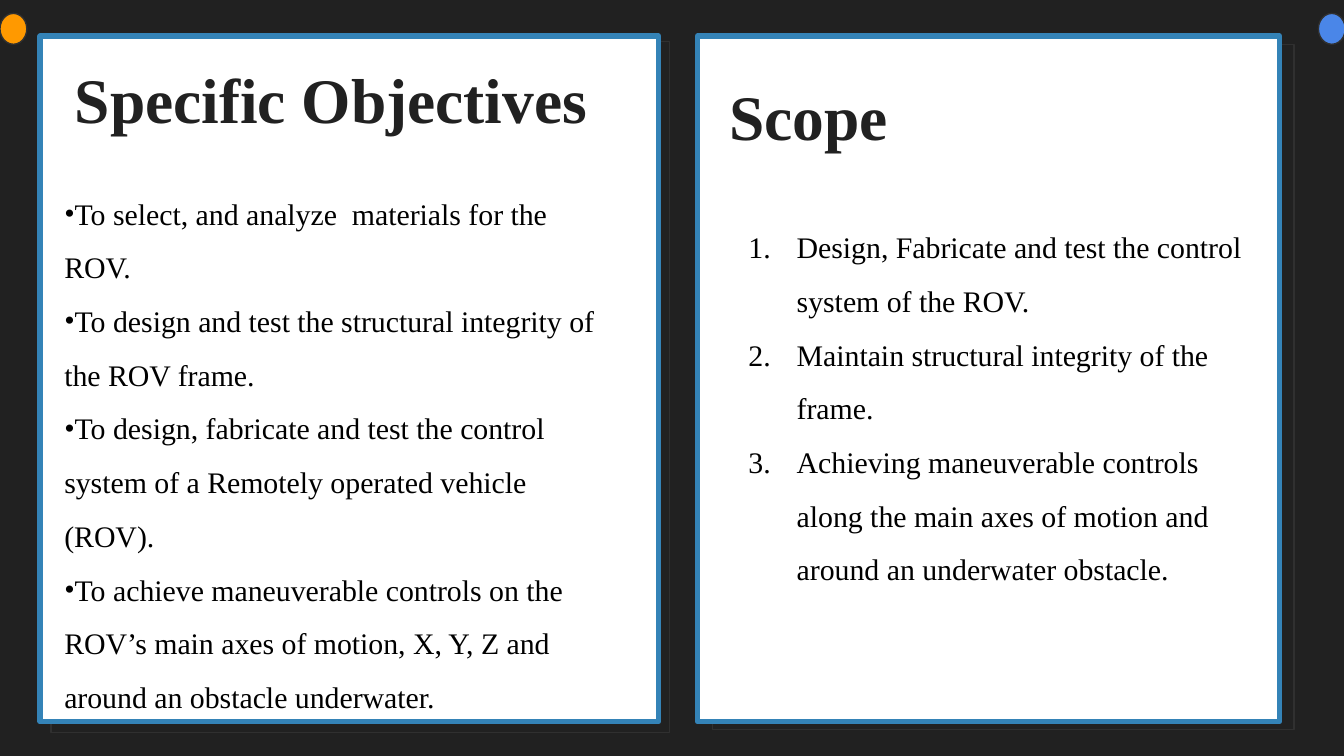
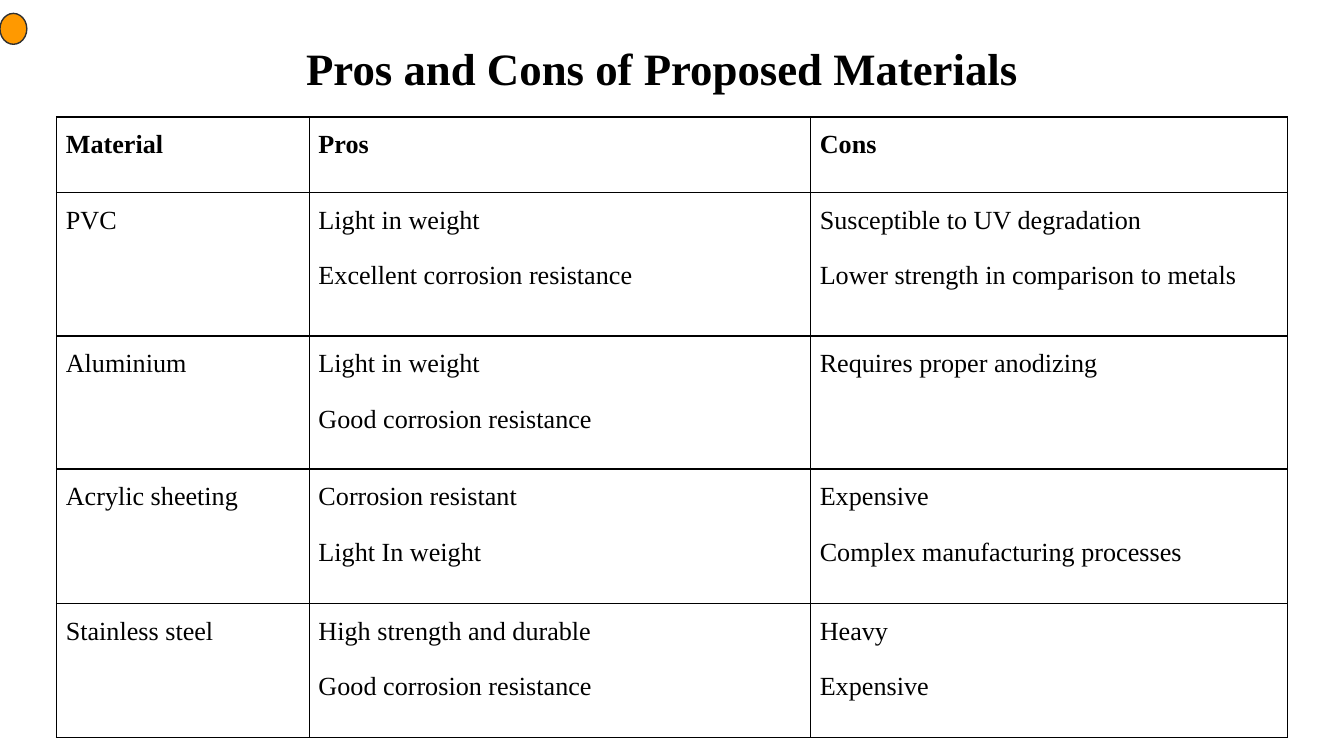
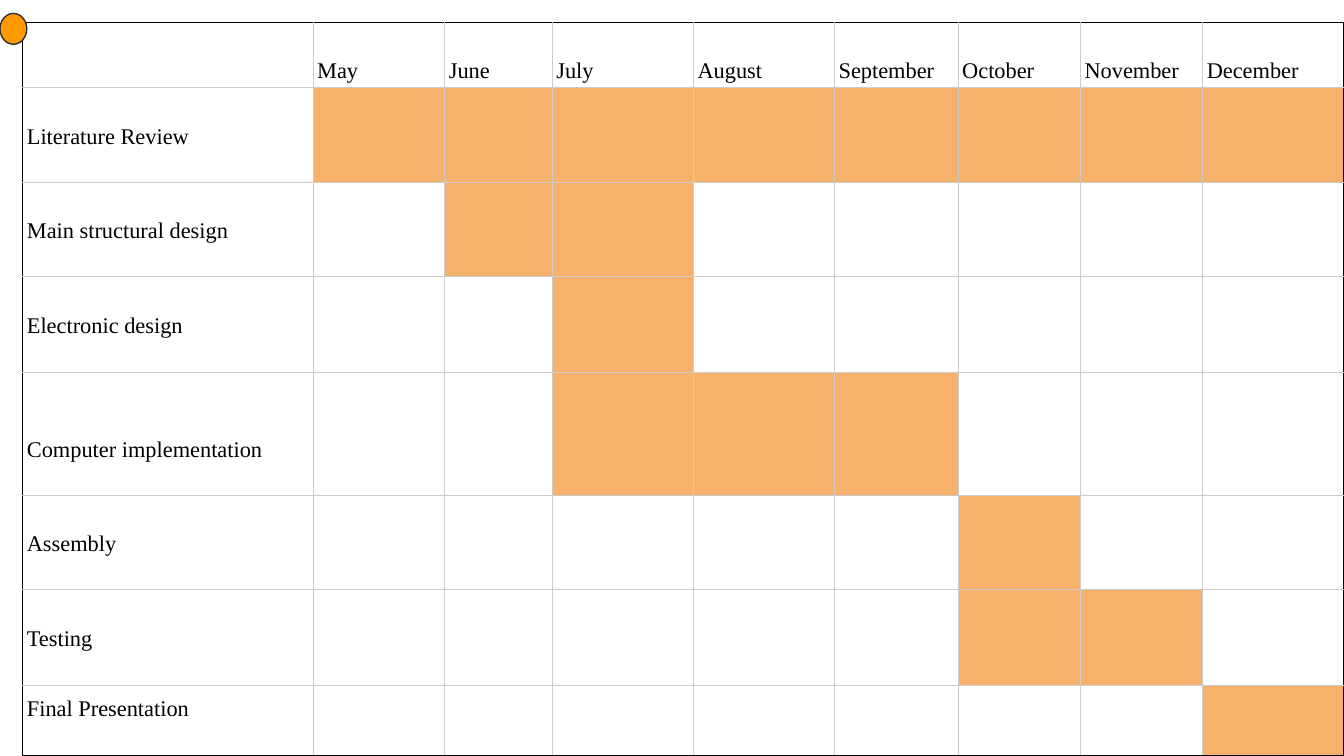
from lxml import etree
from pptx import Presentation
from pptx import util as u
from pptx.dml.color import RGBColor
from pptx.enum import shapes, text
from pptx.oxml.ns import qn

PX = 9144  # 100 px to the inch
FONT = "Times New Roman"
HUE = {"dark": "212121", "edge": "303030", "blue": "3483B7", "white": "FFFFFF",
       "black": "000000", "gold": "FF9900", "sky": "4A86E8",
       "grid": "CCCCCC", "busy": "F6B26B"}

GOALS = [
    "To select, and analyze  materials for the ROV.",
    "To design and test the structural integrity of the ROV frame.",
    "To design, fabricate and test the control system of a Remotely operated "
    "vehicle (ROV).",
    "To achieve maneuverable controls on the ROV’s main axes of motion, X, Y, Z "
    "and around an obstacle underwater.",
]
SCOPE = [
    "Design, Fabricate and test the control system of the ROV.",
    "Maintain structural integrity of the frame.",
    "Achieving maneuverable controls along the main axes of motion and around "
    "an underwater obstacle.",
]
TRAITS = [
    (["Material"], ["Pros"], ["Cons"]),
    (["PVC"], ["Light in weight", "Excellent corrosion resistance"],
     ["Susceptible to UV degradation", "Lower strength in comparison to metals"]),
    (["Aluminium"], ["Light in weight", "Good corrosion resistance"],
     ["Requires proper anodizing"]),
    (["Acrylic sheeting"], ["Corrosion resistant", "Light In weight"],
     ["Expensive", "Complex manufacturing processes"]),
    (["Stainless steel"], ["High strength and durable", "Good corrosion resistance"],
     ["Heavy", "Expensive"]),
]
MONTHS = ["May", "June", "July", "August", "September", "October", "November",
          "December"]
# task, first month, last month, row height
TASKS = [
    ("Literature Review", "May", "December", 71),
    ("Main structural design", "June", "July", 70),
    ("Electronic design", "July", "July", 71),
    ("Computer implementation", "July", "September", 92),
    ("Assembly", "October", "October", 70),
    ("Testing", "October", "November", 71),
    ("Final Presentation", "December", "December", 52),
]


def rgb(name):
    return RGBColor.from_string(HUE[name])


def emu(box):
    return [u.Emu(n * PX) for n in box]


def put(item, **vals):
    for key, val in vals.items():
        setattr(item, key, val)


def shift(box, part):
    """Turn a part's offset and size into a box on the slide."""
    return box[0] + part[0], box[1] + part[1], part[2], part[3]


def page(deck, back):
    slide = deck.slides.add_slide(deck.slide_layouts[6])
    slide.background.fill.solid()
    slide.background.fill.fore_color.rgb = rgb(back)
    return slide


def block(slide, box, fill, line="edge", wide=0.75, kind=shapes.MSO_SHAPE.RECTANGLE):
    shape = slide.shapes.add_shape(kind, *emu(box))
    shape.shadow.inherit = False
    shape.fill.solid()
    shape.fill.fore_color.rgb = rgb(fill)
    shape.line.color.rgb = rgb(line)
    shape.line.width = u.Pt(wide)


def dot(slide, left, fill):
    block(slide, (left, 10, 20, 23), fill, kind=shapes.MSO_SHAPE.OVAL)


def bullet(para, tag, attrs, left, hang):
    prop = para._p.get_or_add_pPr()
    prop.set("marL", str(left * PX))
    prop.set("indent", str(-hang * PX))
    tint = etree.SubElement(prop, qn("a:buClr"))
    etree.SubElement(tint, qn("a:srgbClr"), val=HUE["black"])
    etree.SubElement(prop, qn("a:buFont"), typeface=FONT)
    etree.SubElement(prop, qn(tag), attrs)


DOTS = ("a:buChar", {"char": "•"}, 0, 8)
NUMS = ("a:buAutoNum", {"type": "arabicPeriod"}, 50, 36)


def write(frame, lines, size, hue="black", bold=False, lead=None, gap=0, mark=None):
    """Fill a text frame, with gap points between its paragraphs."""
    for i, line in enumerate(lines):
        para = frame.add_paragraph() if i else frame.paragraphs[0]
        if mark:
            bullet(para, *mark)
        if lead:
            para.line_spacing = lead
        if i and gap:
            para.space_before = u.Pt(gap)
        run = para.add_run()
        run.text = line
        put(run.font, name=FONT, size=u.Pt(size), bold=bold)
        run.font.color.rgb = rgb(hue)


def label(slide, box, lines, size, grow=False, **style):
    frame = slide.shapes.add_textbox(*emu(box)).text_frame
    inset = u.Emu(10 * PX)
    put(frame, word_wrap=True, margin_left=inset, margin_right=inset,
        margin_top=inset, margin_bottom=inset)
    if grow:
        frame.auto_size = text.MSO_AUTO_SIZE.SHAPE_TO_FIT_TEXT
    write(frame, lines, size, **style)


def panel(slide, box, shade, head, title, body, lines, mark):
    block(slide, shift(box, shade), "dark")
    block(slide, box, "white", "blue", 3)
    label(slide, shift(box, head), [title], 34, hue="dark", bold=True)
    label(slide, shift(box, body), lines, 16, grow=True, lead=1.5, mark=mark)


def grid(slide, left, top, cols, rows):
    frame = slide.shapes.add_table(
        len(rows), len(cols), *emu((left, top, sum(cols), sum(rows))))
    table = frame.table
    put(table, first_row=False, horz_banding=False)
    for col, wide in zip(table.columns, cols):
        col.width = u.Emu(wide * PX)
    for row, high in zip(table.rows, rows):
        row.height = u.Emu(high * PX)
    return table


def dress(cell, fill, sides, wide, inset, foot=None):
    """Set a cell's fill, insets and border hues, given in the order L, R, T, B."""
    pad = u.Emu(inset * PX)
    put(cell, margin_left=pad, margin_right=pad, margin_top=pad,
        margin_bottom=u.Emu((foot or inset) * PX))
    if fill:
        cell.fill.solid()
        cell.fill.fore_color.rgb = rgb(fill)
    else:
        cell.fill.background()
    prop = cell._tc.get_or_add_tcPr()
    for i, (side, hue) in enumerate(zip("LRTB", sides)):
        line = etree.Element(qn("a:ln" + side), w=str(u.Pt(wide)))
        paint = etree.SubElement(line, qn("a:solidFill"))
        etree.SubElement(paint, qn("a:srgbClr"), val=HUE[hue])
        prop.insert(i, line)


def aims(deck):
    slide = page(deck, "dark")
    panel(slide, (30, 27, 460, 510), (8, 4, 460, 514),
          (16, 8, 427, 120), "Specific Objectives", (8, 95, 418, 411), GOALS, DOTS)
    panel(slide, (519, 27, 433, 510), (11, 6, 433, 510),
          (14, 20, 376, 74), "Scope", (14, 120, 404, 290), SCOPE, NUMS)
    dot(slide, 0, "gold")
    dot(slide, 981, "sky")


def stuff(deck):
    """Slide that compares the materials."""
    slide = page(deck, "white")
    table = grid(slide, 42, 87, [188, 373, 355], [56, 107, 99, 100, 100])
    for r, row in enumerate(TRAITS):
        for c, lines in enumerate(row):
            cell = table.cell(r, c)
            dress(cell, None, ["black"] * 4, 0.75, 7)
            write(cell.text_frame, lines, 14, bold=r == 0, lead=1.15, gap=12)
    label(slide, (218, 14, 564, 61), ["Pros and Cons of Proposed Materials"], 24,
          grow=True, bold=True, lead=1.15)
    dot(slide, 0, "gold")


def plan(deck):
    """Slide with the month-by-month schedule."""
    slide = page(deck, "white")
    cols = [216, 98, 80, 105, 105, 92, 91, 91, 105]
    rows = [48] + [task[3] for task in TASKS]
    table = grid(slide, 17, 17, cols, rows)
    for r in range(len(rows)):
        name, first, last = TASKS[r - 1][:3] if r else ("", None, None)
        for c in range(len(cols)):
            cell = table.cell(r, c)
            busy = r and c and (
                MONTHS.index(first) <= c - 1 <= MONTHS.index(last))
            rim = (c == 0, c == len(cols) - 1, r == 0, r == len(rows) - 1)
            dress(cell, "busy" if busy else None,
                  ["black" if out else "grid" for out in rim], 0.6, 3,
                  25 if r and not c else None)
            cell.vertical_anchor = text.MSO_ANCHOR.BOTTOM
            word = name if c == 0 else "" if r else MONTHS[c - 1]
            if word:
                write(cell.text_frame, [word], 12, lead=1.15)
    dot(slide, 0, "gold")


def main():
    deck = Presentation()
    wide = 1000 * PX
    put(deck, slide_width=u.Emu(wide), slide_height=u.Emu(wide * 9 // 16))
    for build in (aims, stuff, plan):
        build(deck)
    deck.save("out.pptx")


if __name__ == "__main__":
    main()
